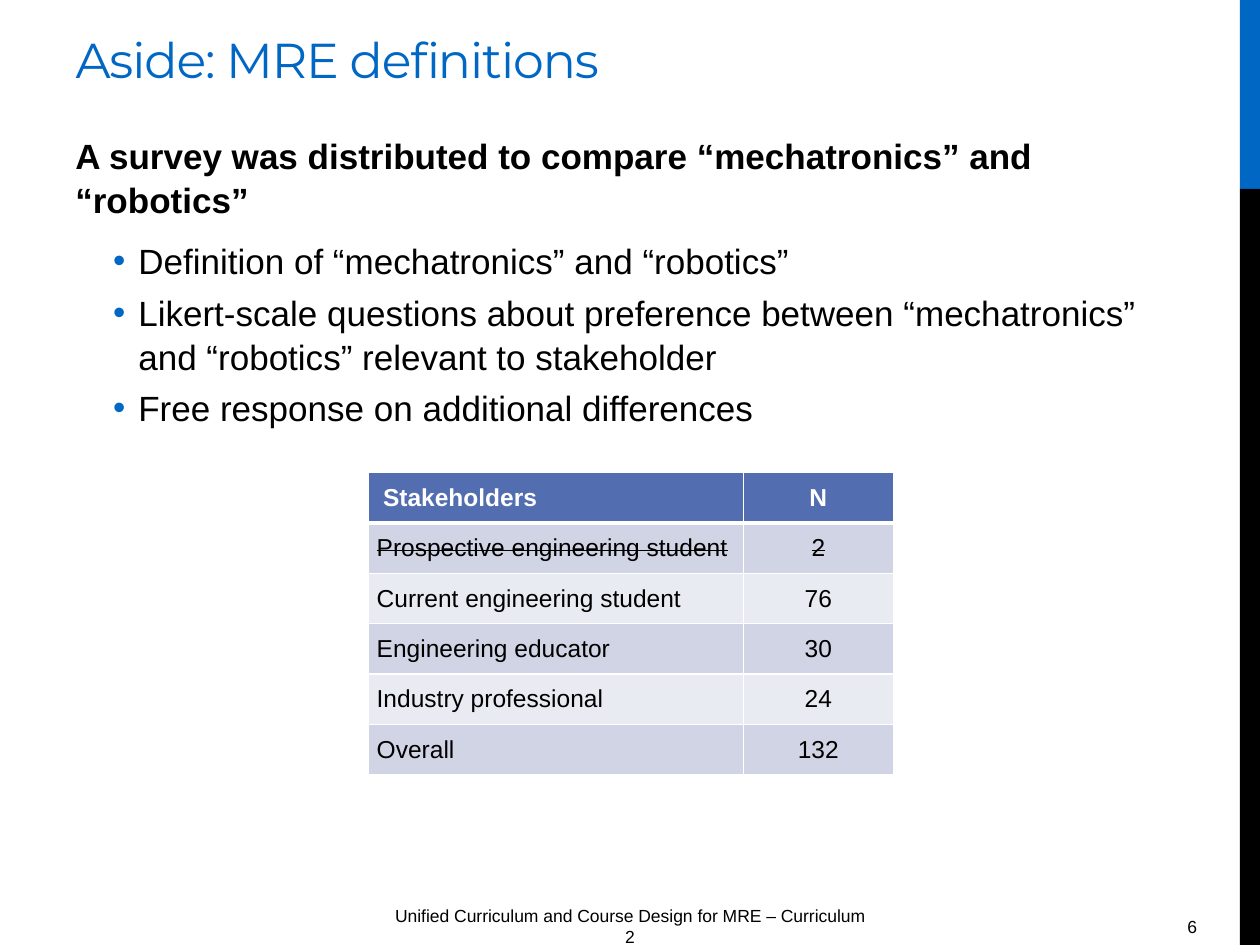
from lxml import etree
from pptx import Presentation
from pptx.dml.color import RGBColor
from pptx.enum import shapes, text
from pptx.oxml import ns
from pptx.util import Inches, Pt

BLUE, BLACK, WHITE = "0067C5", "000000", "FFFFFF"
HEADER_FILL, BANDS = "526DB0", ("D1D4E4", "E9EBF2")
LEFT, CENTER, RIGHT = text.PP_ALIGN.LEFT, text.PP_ALIGN.CENTER, text.PP_ALIGN.RIGHT
MIDDLE = text.MSO_ANCHOR.MIDDLE

HEADING = "A survey was distributed to compare “mechatronics” and “robotics”"
BULLETS = [
    "Definition of “mechatronics” and “robotics”",
    "Likert-scale questions about preference between “mechatronics” "
    "and “robotics” relevant to stakeholder",
    "Free response on additional differences",
]
STAKEHOLDERS = [
    ("Stakeholders", "N"),
    ("Prospective engineering student", "2"),
    ("Current engineering student", "76"),
    ("Engineering educator", "30"),
    ("Industry professional", "24"),
    ("Overall", "132"),
]
STRUCK_ROW = 1


def rgb(color):
    return RGBColor.from_string(color)


def add_run(p, words, size, color=BLACK, bold=False, font="Arial"):
    r = p.add_run()
    r.text = words
    r.font.size, r.font.name, r.font.bold = Pt(size), font, bold
    r.font.color.rgb = rgb(color)
    return r


def add_text_box(slide, box, wrap=True):
    tf = slide.shapes.add_textbox(*map(Inches, box)).text_frame
    tf.word_wrap = wrap
    return tf


def add_side_bar(slide, x, y, w, h, blue_h):
    for top, height, color in ((y, blue_h, BLUE), (y + blue_h, h - blue_h, BLACK)):
        sp = slide.shapes.add_shape(shapes.MSO_SHAPE.RECTANGLE, Inches(x),
                                    Inches(top), Inches(w), Inches(height))
        sp.shadow.inherit = False
        sp.fill.solid()
        sp.fill.fore_color.rgb = rgb(color)
        sp.line.fill.background()


def add_footer(slide, box, words, align, right_inset=0.1):
    tf = add_text_box(slide, box, wrap=False)
    tf.vertical_anchor = MIDDLE
    tf.margin_right = Inches(right_inset)
    p = tf.paragraphs[0]
    p.alignment = align
    add_run(p, words, 10)


def set_title(slide, box, words):
    sp = slide.shapes.title
    sp.left, sp.top, sp.width, sp.height = map(Inches, box)
    tf = sp.text_frame
    tf.vertical_anchor = MIDDLE
    p = tf.paragraphs[0]
    p.alignment = LEFT
    r = add_run(p, words, 28, BLUE, font="Montserrat")
    r.font._element.set("spc", "-60")


def set_bullet(p, indent, hanging):
    pPr = p._p.get_or_add_pPr()
    pPr.set("marL", str(Inches(indent)))
    pPr.set("indent", str(-Inches(hanging)))
    color = etree.SubElement(pPr, ns.qn("a:buClr"))
    etree.SubElement(color, ns.qn("a:srgbClr"), val=BLUE)
    etree.SubElement(pPr, ns.qn("a:buFont"), typeface="Arial")
    etree.SubElement(pPr, ns.qn("a:buChar"), char="•")


def add_body(slide, box):
    tf = add_text_box(slide, box)
    p = tf.paragraphs[0]
    p.line_spacing, p.space_after = 1.05, Pt(6)
    add_run(p, HEADING, 20, bold=True)
    for words in BULLETS:
        p = tf.add_paragraph()
        p.level = 1
        p.line_spacing, p.space_before = 1.05, Pt(4)
        set_bullet(p, 0.5, 0.2)
        add_run(p, words, 20)


def set_borders(cell, bottom):
    """Draw white cell borders; the bottom width is given in points."""
    tcPr = cell._tc.get_or_add_tcPr()
    for i, (side, width) in enumerate((("L", 1), ("R", 1), ("T", 1), ("B", bottom))):
        ln = etree.Element(ns.qn(f"a:ln{side}"), w=str(Pt(width)))
        fill = etree.SubElement(ln, ns.qn("a:solidFill"))
        etree.SubElement(fill, ns.qn("a:srgbClr"), val=WHITE)
        tcPr.insert(i, ln)


def add_stakeholder_table(slide, x, y, col_widths, row_h):
    rows = len(STAKEHOLDERS)
    table = slide.shapes.add_table(rows, len(col_widths), Inches(x), Inches(y),
                                   Inches(sum(col_widths)),
                                   Inches(rows * row_h)).table
    for column, width in zip(table.columns, col_widths):
        column.width = Inches(width)
    for i, values in enumerate(STAKEHOLDERS):
        header = i == 0
        table.rows[i].height = Inches(row_h)
        for j, value in enumerate(values):
            cell = table.cell(i, j)
            cell.vertical_anchor = MIDDLE
            cell.margin_left = Inches(0.12 if header and j == 0 else 0.07)
            cell.margin_right = Inches(0.07)
            cell.margin_top = cell.margin_bottom = 0
            cell.fill.solid()
            cell.fill.fore_color.rgb = rgb(HEADER_FILL if header else BANDS[(i - 1) % 2])
            set_borders(cell, 3 if header else 1)
            p = cell.text_frame.paragraphs[0]
            p.alignment = CENTER if j else LEFT
            r = add_run(p, value, 14, WHITE if header else BLACK, header)
            if i == STRUCK_ROW:
                r.font._element.set("strike", "sngStrike")


def main():
    prs = Presentation()
    prs.slide_width, prs.slide_height = Inches(10), Inches(7.5)
    slide = prs.slides.add_slide(prs.slide_layouts[5])
    add_side_bar(slide, 9.84, 0, 0.16, 7.5, blue_h=1.5)
    add_footer(slide, (3, 7.2, 4, 0.3),
               "Unified Curriculum and Course Design for MRE – Curriculum 2", CENTER)
    add_footer(slide, (8, 7.2, 2, 0.3), "6", RIGHT, right_inset=0.5)
    set_title(slide, (0.5, 0.17, 9, 0.6), "Aside: MRE definitions")
    add_body(slide, (0.5, 1, 9, 6))
    add_stakeholder_table(slide, 2.92, 3.75, (2.98, 1.19), 0.4)
    prs.save("out.pptx")


if __name__ == "__main__":
    main()
